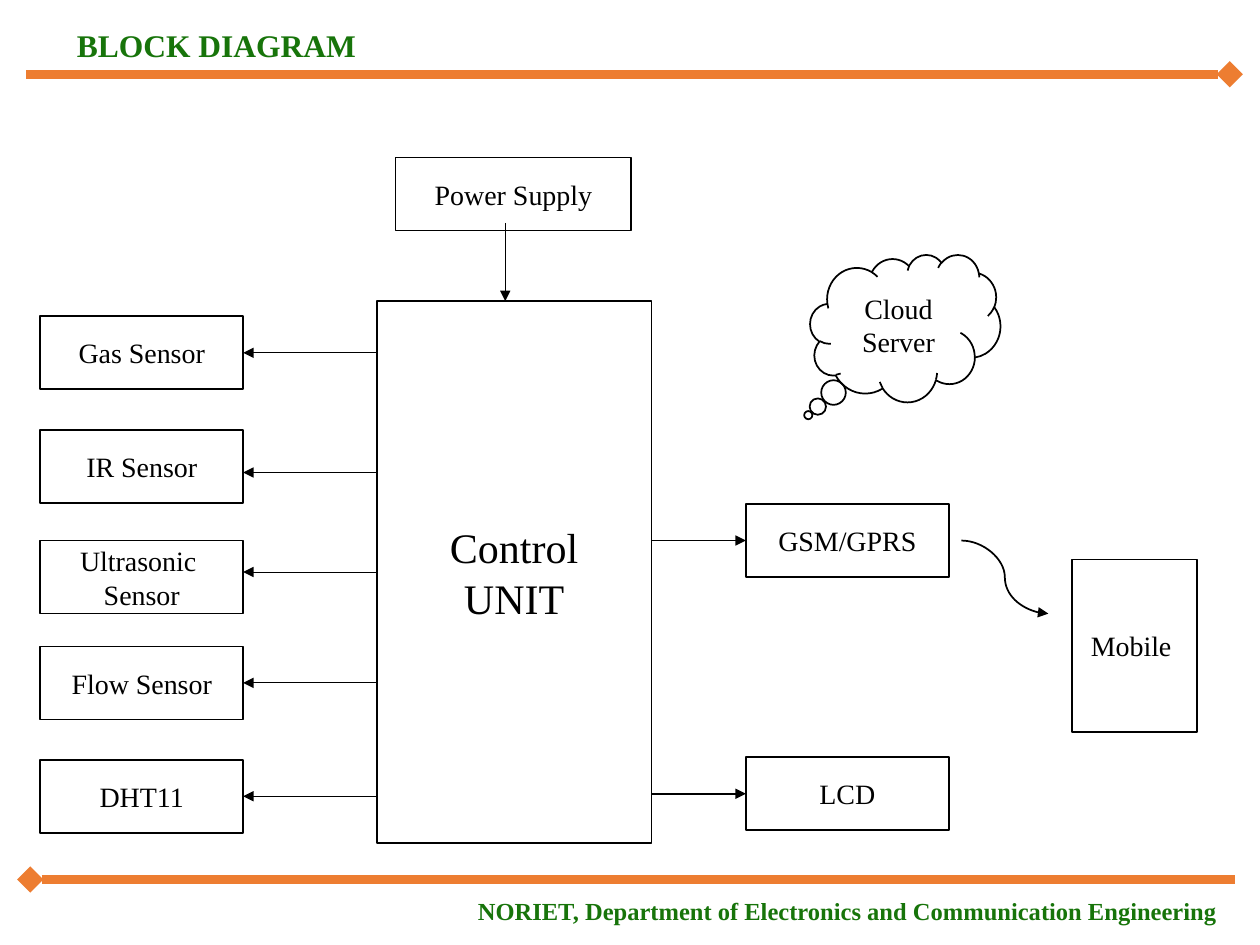
import lxml.etree
import pptx
import pptx.util
import pptx.dml.color
import pptx.enum.shapes
import pptx.enum.text
import pptx.oxml.ns

Inches, Pt = pptx.util.Inches, pptx.util.Pt
SHAPE = pptx.enum.shapes.MSO_SHAPE
CONNECTOR = pptx.enum.shapes.MSO_CONNECTOR
ALIGN = pptx.enum.text.PP_ALIGN
ANCHOR = pptx.enum.text.MSO_ANCHOR
GREEN, ORANGE, BLACK = "17740A", "ED7D31", "000000"

# Content
TITLE = "BLOCK DIAGRAM"
FOOTER = "NORIET, Department of Electronics and Communication Engineering"
CONTROLLER = ("Control\nUNIT", 2.99, 2.39, 2.18, 4.3)
SUPPLY = ("Power Supply", 3.14, 1.25, 1.87, 0.58)
MOBILE = ("Mobile ", 8.51, 4.44, 0.99, 1.37)
CLOUD = ("Cloud Server", 6.43, 2.02, 1.51, 1.17)
# label, top, arrow height (None: arrow joined to the middle of the side)
SENSORS = [
    ("Gas Sensor", 2.51, None),
    ("IR Sensor", 3.41, 3.75),
    ("Ultrasonic \nSensor", 4.29, 4.54),
    ("Flow Sensor", 5.13, None),
    ("DHT11", 6.03, None),
]
OUTPUTS = [("GSM/GPRS", 4.0), ("LCD", 6.01)]
SENSOR_LEFT, OUTPUT_LEFT = 0.32, 5.92
BOX_WIDTH, BOX_HEIGHT = 1.61, 0.58

deck = pptx.Presentation()
deck.slide_width, deck.slide_height = Inches(10), Inches(7.5)
slide = deck.slides.add_slide(deck.slide_layouts[5])


def rgb(value):
    return pptx.dml.color.RGBColor.from_string(value)


def write(frame, text, size=16, color=BLACK, bold=False,
          align=ALIGN.CENTER, anchor=ANCHOR.MIDDLE):
    frame.text = text
    frame.word_wrap = True
    frame.vertical_anchor = anchor
    for paragraph in frame.paragraphs:
        paragraph.alignment = align
        font = paragraph.runs[0].font
        font.name, font.size, font.bold = "Times New Roman", Pt(size), bold
        font.color.rgb = rgb(color)


def block(text, left, top, width, height, kind=SHAPE.RECTANGLE, size=16):
    shape = slide.shapes.add_shape(
        kind, Inches(left), Inches(top), Inches(width), Inches(height))
    shape.shadow.inherit = False
    shape.fill.background()
    shape.line.color.rgb = rgb(BLACK)
    shape.line.width = Pt(1)
    write(shape.text_frame, text, size=size)
    return shape


def add_element(parent, tag, **attributes):
    lxml.etree.SubElement(parent, pptx.oxml.ns.qn(tag), **attributes)


def link(start, end, width=1, color=BLACK, head=None, tail="triangle",
         kind=CONNECTOR.STRAIGHT):
    line = slide.shapes.add_connector(
        kind, *(Inches(length) for length in (*start, *end)))
    line.line.color.rgb = rgb(color)
    line.line.width = Pt(width)
    outline = line.line._get_or_add_ln()
    for tag, arrow in (("a:headEnd", head), ("a:tailEnd", tail)):
        if arrow:
            add_element(outline, tag, type=arrow)
    add_element(outline.getparent(), "a:effectLst")
    return line


# Title, footer and their rules
title = slide.shapes.title
title.left, title.top = Inches(0.51), Inches(0.16)
title.width, title.height = Inches(8.32), Inches(0.4)
write(title.text_frame, TITLE, size=18, color=GREEN, bold=True, align=ALIGN.LEFT)
link((0.21, 0.59), (9.76, 0.59), width=5, color=ORANGE, tail="diamond")
link((0.24, 6.98), (9.8, 6.98), width=5, color=ORANGE, head="diamond", tail=None)
footer = slide.shapes.add_textbox(
    Inches(0.51), Inches(7.06), Inches(9.25), Inches(0.34))
write(footer.text_frame, FOOTER, size=14, color=GREEN, bold=True,
      align=ALIGN.RIGHT, anchor=ANCHOR.TOP)

# Controller and its supply
block(*CONTROLLER, size=24)
controller_left = CONTROLLER[1]
controller_right = controller_left + CONTROLLER[3]
block(*SUPPLY)
link((4.01, 1.77), (4.01, CONTROLLER[2]), width=0.5)

# Sensors on the left
for label, top, arrow_y in SENSORS:
    sensor = block(label, SENSOR_LEFT, top, BOX_WIDTH, BOX_HEIGHT)
    y = arrow_y or top + BOX_HEIGHT / 2
    arrow = link((controller_left, y), (SENSOR_LEFT + BOX_WIDTH, y), width=0.5)
    if arrow_y is None:
        arrow.end_connect(sensor, 3)

# Outputs on the right
for label, top in OUTPUTS:
    output = block(label, OUTPUT_LEFT, top, BOX_WIDTH, BOX_HEIGHT)
    y = top + BOX_HEIGHT / 2
    link((controller_right, y), (OUTPUT_LEFT, y)).end_connect(output, 1)

# Cloud and mobile
cloud = block(*CLOUD, kind=SHAPE.CLOUD_CALLOUT)
cloud.adjustments[0], cloud.adjustments[1] = -0.51, 0.59
block(*MOBILE)
link((7.63, 4.29), (8.32, 4.87), kind=CONNECTOR.CURVE)

deck.save("out.pptx")
